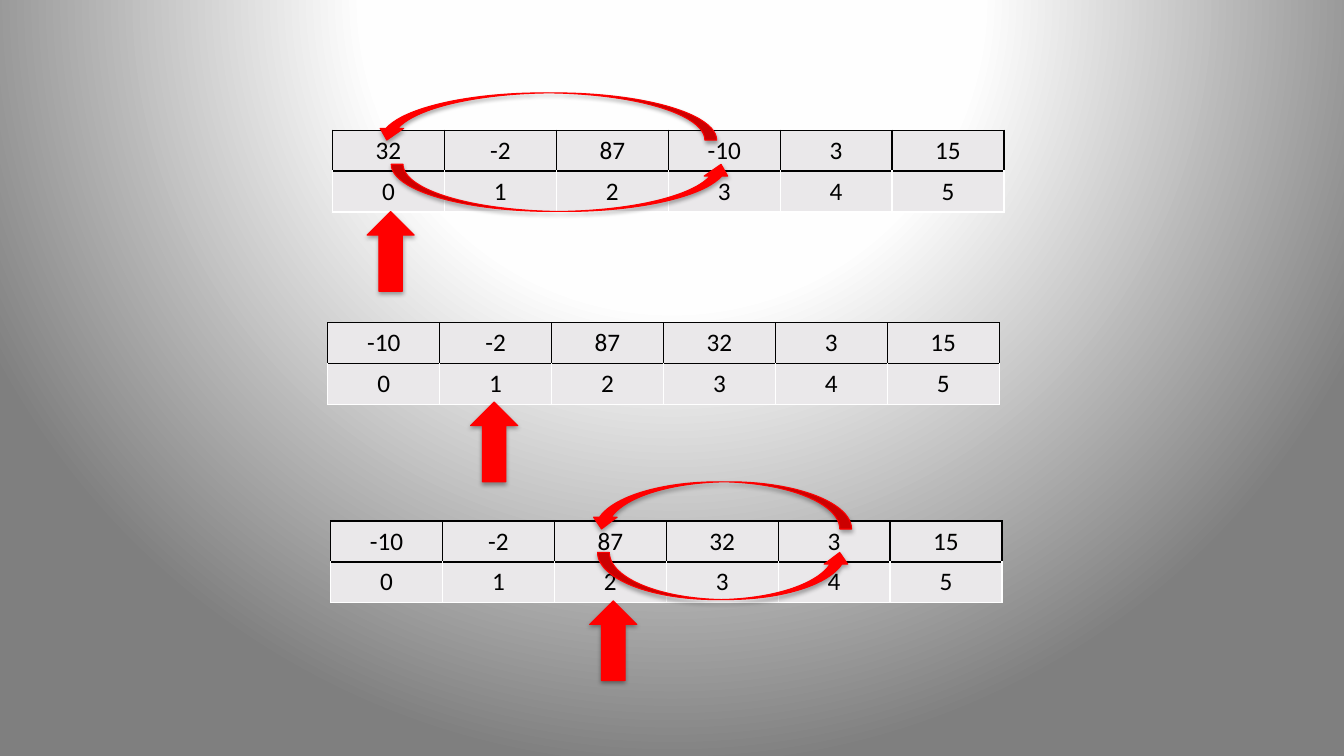
import pptx
import pptx.dml.color
import pptx.enum.shapes
import pptx.enum.text
import pptx.oxml
import pptx.oxml.ns
import pptx.util

Cm = pptx.util.Cm
Pt = pptx.util.Pt
Kind = pptx.enum.shapes.MSO_SHAPE
SPACE = pptx.oxml.ns.nsdecls("a")


def tint(code):
    return pptx.dml.color.RGBColor.from_string(code)


def apply(target, values):
    for name, value in values.items():
        setattr(target, name, value)


class Board:
    red = "FF0000"
    pale = "EAE8EA"
    black = "000000"
    white = "FFFFFF"
    font = {"name": "Calibri", "size": Pt(18), "bold": False}
    plain = {"first_row": False, "horz_banding": False}
    cell_wide = 2.82
    cell_high = 1.03
    thick = 1.19

    def __init__(self, deck):
        self.slide = deck.slides.add_slide(deck.slide_layouts[6])

    def backdrop(self, stops):
        self.slide.background.fill.solid()
        frame = self.slide.element.cSld.bg.bgPr
        marks = "".join(
            f'<a:gs pos="{spot * 1000}"><a:srgbClr val="{code}"/></a:gs>'
            for spot, code in stops
        )
        fill = pptx.oxml.parse_xml(
            f'<a:gradFill {SPACE} rotWithShape="1"><a:gsLst>{marks}</a:gsLst>'
            '<a:path path="circle"><a:fillToRect l="50000" t="-80000" '
            'r="50000" b="180000"/></a:path></a:gradFill>'
        )
        frame.replace(frame[0], fill)

    def edge(self, cell, sides):
        props = cell._tc.get_or_add_tcPr()
        for place, (side, code) in enumerate(sides.items()):
            props.insert(place, pptx.oxml.parse_xml(
                f'<a:ln{side} {SPACE} w="12700"><a:solidFill>'
                f'<a:srgbClr val="{code}"/></a:solidFill></a:ln{side}>'
            ))

    def array(self, left, top, items):
        rows = [items, range(len(items))]
        grid = self.slide.shapes.add_table(
            len(rows), len(items), Cm(left), Cm(top),
            Cm(self.cell_wide * len(items)), Cm(self.cell_high * len(rows)),
        ).table
        apply(grid, self.plain)
        for col in grid.columns:
            col.width = Cm(self.cell_wide)
        for y, row in enumerate(rows):
            grid.rows[y].height = Cm(self.cell_high)
            sides = dict.fromkeys("LRTB", self.white if y else self.black)
            sides["T"] = self.black
            for x, item in enumerate(row):
                cell = grid.cell(y, x)
                cell.fill.solid()
                cell.fill.fore_color.rgb = tint(self.pale)
                self.edge(cell, sides)
                line = cell.text_frame.paragraphs[0]
                line.alignment = pptx.enum.text.PP_ALIGN.CENTER
                run = line.add_run()
                run.text = str(item)
                apply(run.font, self.font)
                run.font.color.rgb = tint(self.black)

    def arrow(self, kind, left, top, wide, high, turn=0):
        shape = self.slide.shapes.add_shape(
            kind, Cm(left), Cm(top), Cm(wide), Cm(high))
        shape.rotation = turn
        shape.fill.solid()
        shape.fill.fore_color.rgb = tint(self.red)
        shape.line.color.rgb = tint(self.red)
        shape.line.width = Pt(0.75)
        shape.shadow.inherit = False
        shape.element.spPr.find(pptx.oxml.ns.qn("a:effectLst")).append(
            pptx.oxml.parse_xml(
                f'<a:outerShdw {SPACE} blurRad="40000" dist="23000" '
                f'dir="5400000" rotWithShape="0"><a:srgbClr val="{self.black}">'
                '<a:alpha val="35000"/></a:srgbClr></a:outerShdw>'
            ))

    def point(self, left, top):
        self.arrow(Kind.UP_ARROW, left, top, self.thick, 2.01)

    def curve(self, left, top, wide, turn=0):
        self.arrow(Kind.CURVED_UP_ARROW, left, top, wide, self.thick, turn)


def main():
    deck = pptx.Presentation()
    apply(deck, {"slide_width": Cm(33.87), "slide_height": Cm(19.05)})
    board = Board(deck)
    board.backdrop([(0, "FFFFFF"), (40, "FEFEFE"), (100, "7F7F7F")])
    start = [32, -2, 87, -10, 3, 15]
    swapped = [-10, -2, 87, 32, 3, 15]
    steps = [
        ((8.38, 3.28), start, (9.25, 5.33),
         [(9.86, 4.14, 8.61), (9.45, 2.34, 8.61, 180)]),
        ((8.26, 8.13), swapped, (11.86, 10.13), []),
        ((8.33, 13.13), swapped, (14.86, 15.14),
         [(15.06, 13.92, 6.4), (14.86, 12.14, 6.6, 180)]),
    ]
    for place, items, mark, curves in steps:
        board.array(*place, items)
        board.point(*mark)
        for curve in curves:
            board.curve(*curve)
    deck.save("out.pptx")


if __name__ == "__main__":
    main()
